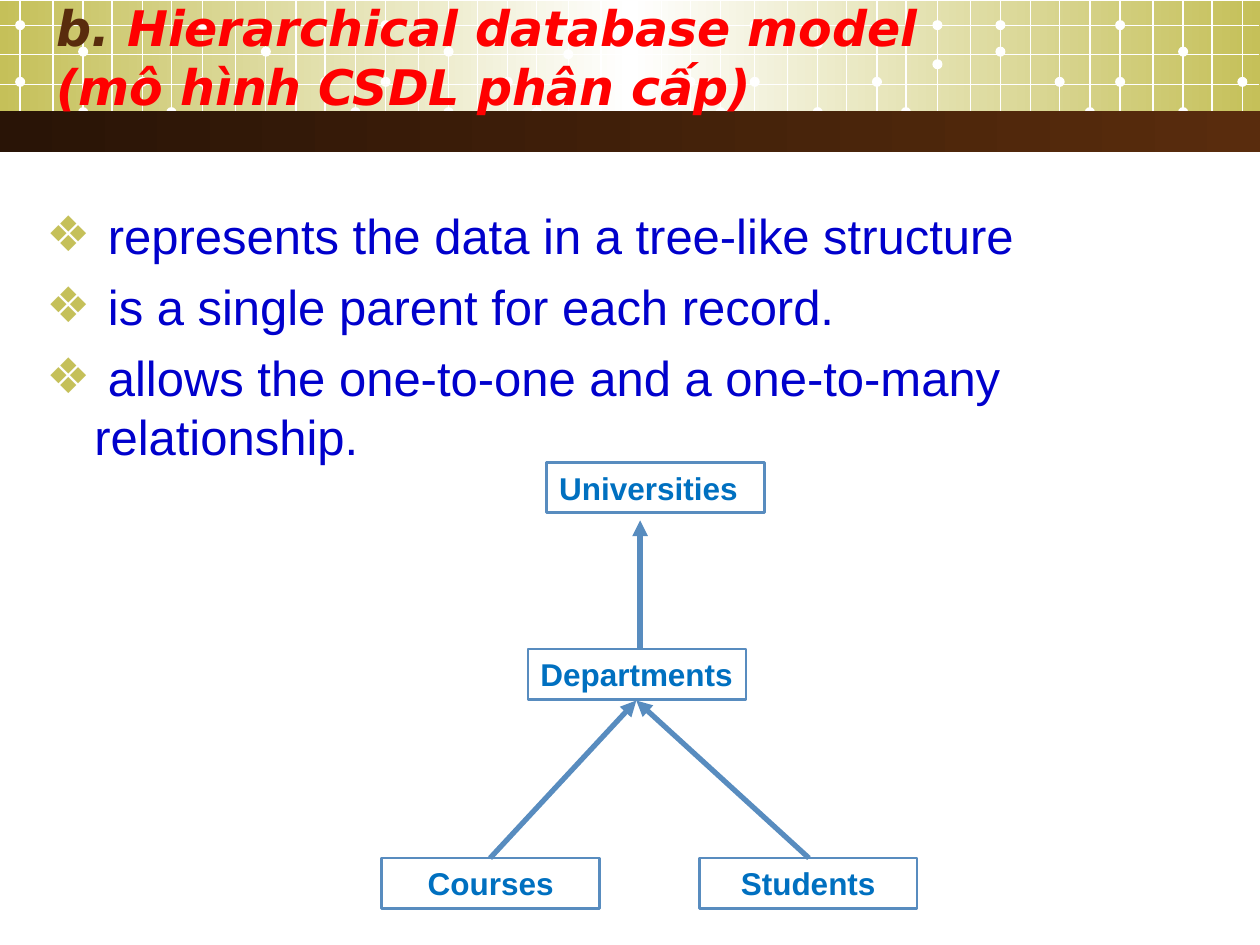
from lxml import etree
from pptx import Presentation
from pptx.dml.color import RGBColor
from pptx.enum import shapes, text
from pptx.oxml import ns
from pptx.util import Inches, Pt

# Content
TITLE = ["b. ", "Hierarchical database model", "(mô hình CSDL phân cấp)"]
POINTS = [
    "represents the data in a tree-like structure",
    "is a single parent for each record.",
    "allows the one-to-one and a one-to-many relationship.",
]
LEFT, MID = text.PP_ALIGN.LEFT, text.PP_ALIGN.CENTER
BOXES = {  # name: (left, top, alignment)
    "Universities": (4.34, 3.67, LEFT),
    "Departments": (4.19, 5.15, LEFT),
    "Courses": (3.03, 6.81, MID),
    "Students": (5.55, 6.81, MID),
}
BOX_W, BOX_H = 1.73, 0.4
ARROWS = [  # tip, tail
    ((5.08, 4.13), (5.08, 5.15)),
    ((5.05, 5.56), (3.89, 6.81)),
    ((5.05, 5.56), (6.42, 6.81)),
]

# Header lattice: one pattern of columns, repeated across the slide
STARTS = [0.16, 3.06, 5.99, 8.89]
STEPS = [0, 0.26, 0.5, 0.73, 0.97, 1.2, 1.45, 1.71, 1.95, 2.19, 2.42, 2.66]
ROWS = [0.2, 0.43, 0.67, 0.89]
DOTS = {0: [0.2, 0.65], 2: [0.41, 0.89], 4: [0.65], 5: [0.89],
        6: [0.2, 0.65], 8: [0.2, 0.41], 10: [0.65], 11: [0.89]}
MOVED = {(1, 6): [0.2, 0.43], (2, 6): [0.2, 0.51], (2, 2): [0.35, 0.89]}
DOT = 0.08

OLIVE, WHITE, BROWN, DARK = "C5C059", "FFFFFF", "592C0D", "291406"
RED, NAVY, BLUE, STEEL = "FF0000", "0000CC", "0070C0", "588CBF"

prs = Presentation()
prs.slide_width, prs.slide_height = Inches(10), Inches(7.5)
slide = prs.slides.add_slide(prs.slide_layouts[6])


def rgb(code):
    return RGBColor.from_string(code)


def add_sub(node, tag, **attrs):
    return etree.SubElement(node, ns.qn(tag), attrs)


def add_shape(kind, x, y, w, h, fill=None):
    shape = slide.shapes.add_shape(
        kind, Inches(x), Inches(y), Inches(w), Inches(h))
    shape.shadow.inherit = False
    shape.line.fill.background()
    if fill:
        shape.fill.solid()
        shape.fill.fore_color.rgb = rgb(fill)
    else:
        shape.fill.background()
    return shape


def add_band(y, h, stops):
    band = add_shape(shapes.MSO_SHAPE.RECTANGLE, 0, y, 10, h)
    band.fill.gradient()
    band.fill.gradient_angle = 0
    grad = band.fill._xPr.find(ns.qn("a:gradFill"))
    items = grad.find(ns.qn("a:gsLst"))
    for old in list(items):
        items.remove(old)
    for i, code in enumerate(stops):
        stop = add_sub(items, "a:gs", pos=str(100000 * i // (len(stops) - 1)))
        add_sub(stop, "a:srgbClr", val=code)


def add_line(start, end, color, width):
    line = slide.shapes.add_connector(
        shapes.MSO_CONNECTOR.STRAIGHT, *map(Inches, start + end))
    line.line.color.rgb = rgb(color)
    line.line.width = Pt(width)
    add_sub(line._element.spPr, "a:effectLst")
    return line


def add_text(x, y, w, h):
    box = slide.shapes.add_textbox(
        Inches(x), Inches(y), Inches(w), Inches(h))
    box.text_frame.word_wrap = True
    return box.text_frame


def style(run, size, name, color, bold=False, italic=False):
    font = run.font
    font.size, font.name = Pt(size), name
    font.bold, font.italic = bold, italic
    font.color.rgb = rgb(color)


# Header band, lattice and dark strip
add_band(0.01, 1.02, [OLIVE, WHITE, OLIVE])
for part, start in enumerate(STARTS):
    for col, step in enumerate(STEPS):
        x = start + step
        if x > 10:
            break
        add_line((x, 0), (x, 1.1), WHITE, 0.75)
        for y in MOVED.get((part, col), DOTS.get(col, [])):
            add_shape(shapes.MSO_SHAPE.OVAL, x - DOT / 2, y - DOT / 2,
                      DOT, DOT, WHITE)
for y in ROWS:
    add_line((0, y), (9.99, y), WHITE, 0.75)
add_band(0.88, 0.33, [DARK, BROWN])

# Title
frame = add_text(0.35, 0.05, 9.14, 0.79)
frame.vertical_anchor = text.MSO_ANCHOR.MIDDLE
para = frame.paragraphs[0]
for i, (words, color) in enumerate(zip(TITLE, [BROWN, RED, RED])):
    if i == 2:
        para.add_line_break()
    run = para.add_run()
    run.text = words
    style(run, 28, "DejaVu Sans", color, True, True)

# Bullet points
frame = add_text(0.27, 1.58, 9.39, 2.1)
for i, words in enumerate(POINTS):
    para = frame.add_paragraph() if i else frame.paragraphs[0]
    para.text = " " + words
    para.space_before = Pt(7)
    style(para.runs[0], 28, "Arial", NAVY)
    props = para._p.get_or_add_pPr()
    props.set("marL", str(Inches(0.38)))
    props.set("indent", str(-Inches(0.38)))
    add_sub(add_sub(props, "a:buClr"), "a:srgbClr", val=OLIVE)
    add_sub(props, "a:buFont", typeface="Arial")
    add_sub(props, "a:buChar", char="❖")

# Tree
for tip, tail in ARROWS:
    arrow = add_line(tip, tail, STEEL, 3)
    add_sub(arrow.line._get_or_add_ln(), "a:headEnd", type="triangle")
for name, (x, y, align) in BOXES.items():
    box = add_shape(shapes.MSO_SHAPE.RECTANGLE, x, y, BOX_W, BOX_H)
    box.line.color.rgb = rgb(STEEL)
    box.line.width = Pt(1.5)
    box.text_frame.text = name
    para = box.text_frame.paragraphs[0]
    para.alignment = align
    style(para.runs[0], 18, "Arial", BLUE, True)

prs.save("out.pptx")
